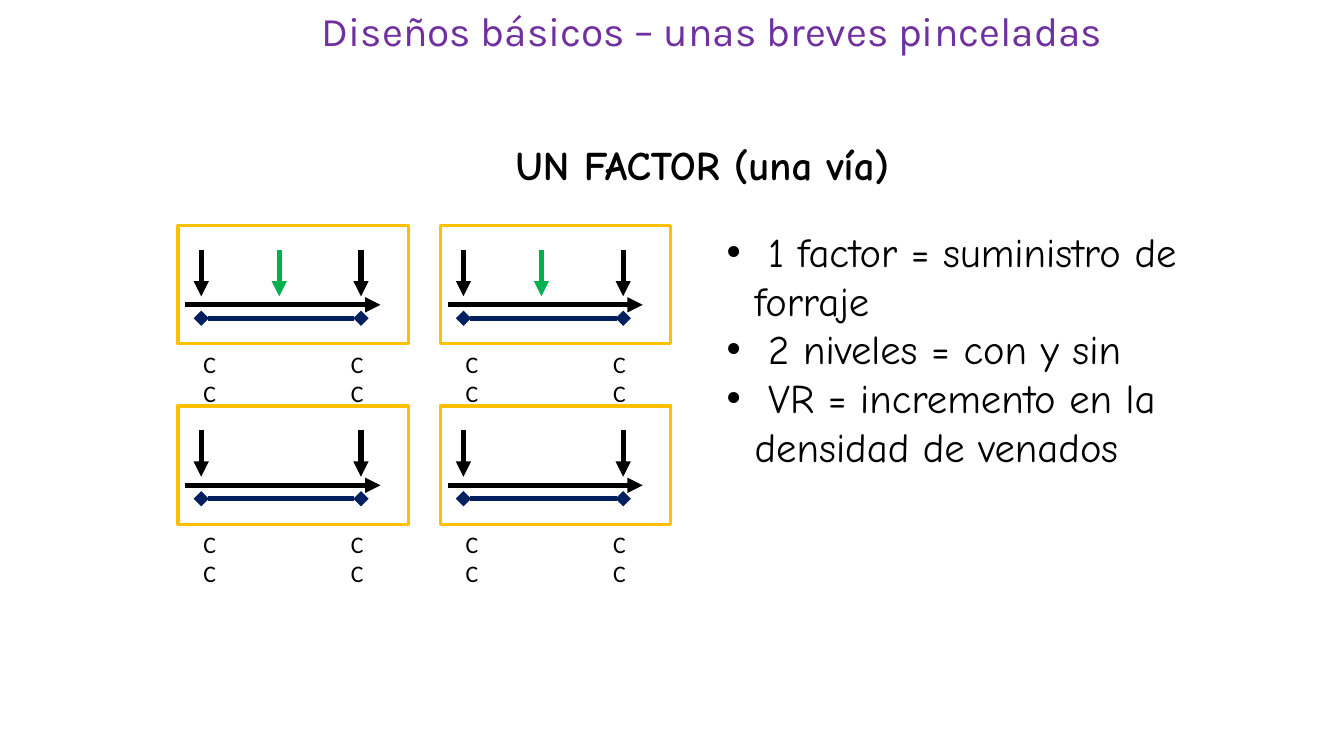
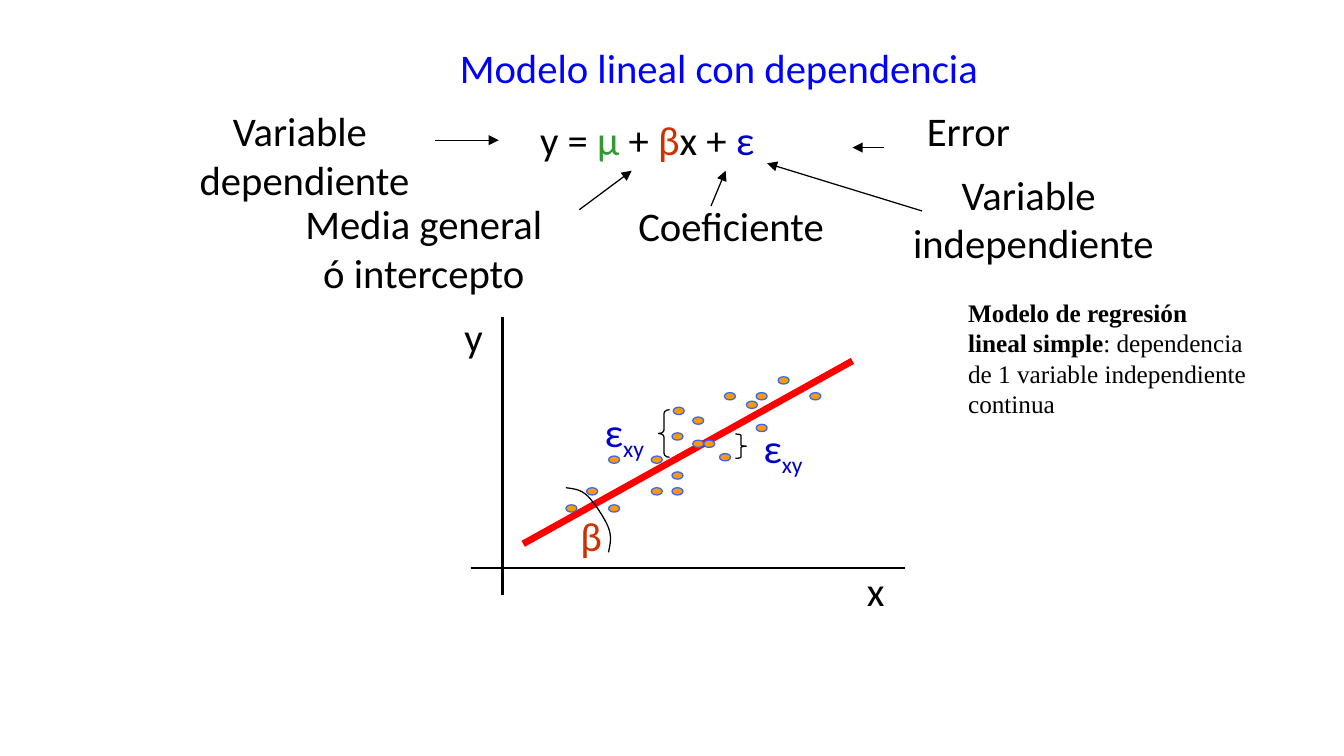
from lxml import etree
from pptx import Presentation
from pptx.dml.color import RGBColor
from pptx.enum.shapes import MSO_CONNECTOR, MSO_SHAPE
from pptx.enum.text import MSO_ANCHOR, MSO_AUTO_SIZE, PP_ALIGN
from pptx.oxml.ns import qn
from pptx.util import Inches, Pt

STRAIGHT = MSO_CONNECTOR.STRAIGHT
RECTANGLE, OVAL = MSO_SHAPE.RECTANGLE, MSO_SHAPE.OVAL
LEFT_BRACE, RIGHT_BRACE = MSO_SHAPE.LEFT_BRACE, MSO_SHAPE.RIGHT_BRACE
TOP = MSO_ANCHOR.TOP
FIT_SHAPE = MSO_AUTO_SIZE.SHAPE_TO_FIT_TEXT
LEFT, CENTER = PP_ALIGN.LEFT, PP_ALIGN.CENTER

COLORS = {
    "black": "000000", "purple": "7030A0", "title_blue": "0000FF",
    "green": "00B050", "navy": "002060", "gold": "FFC000",
    "red": "FF0000", "orange": "FF9900", "point_edge": "3366FF",
    "mean": "339933", "slope": "CC3300", "error": "0000CC",
}
TITLE_ONLY = 5
BODY_SIZE = 24
BULLET_INDENT = 0.23

PANEL_LEFT, PANEL_TOP = 1.46, 1.85
PANEL_STEP_X, PANEL_STEP_Y = 2.15, 1.48
PANEL_WIDTH, PANEL_HEIGHT = 1.89, 0.97
COUNT_START, COUNT_END, SUPPLY = 0.19, 1.5, 0.83

POINT_WIDTH, POINT_HEIGHT = 0.09, 0.06
POINTS = [
    (6.2, 3.48), (4.99, 4.14), (5.77, 3.61), (5.34, 3.74), (5.52, 3.34),
    (5.51, 4), (4.99, 3.74), (5.68, 3.61), (6.12, 3.29), (4.81, 4),
    (5.94, 3.22), (6.38, 3.09), (6.64, 3.22), (5.9, 3.72), (5.51, 3.55),
    (5.51, 3.87), (6.2, 3.22), (5.68, 3.42), (5.34, 4), (4.64, 4.14),
]
ANGLE_CURVES = [
    [(4.64, 4), (4.7, 4.01), (4.76, 4.01), (4.82, 4.07)],
    [(4.82, 4.07), (4.87, 4.12), (4.96, 4.25), (4.99, 4.33)],
    [(4.99, 4.33), (5.02, 4.41), (5, 4.47), (4.99, 4.53)],
]
TERM_LABELS = [
    ((1.46, 0.82, 2, 0.9), ["Variable", " dependiente"]),
    ((7.31, 1.34, 2.25, 0.9), ["Variable", " independiente"]),
    ((2.4, 1.58, 2.15, 0.9), ["Media general", "ó intercepto"]),
    ((5.13, 1.6, 1.73, 0.5), ["Coeficiente"]),
    ((7.5, 0.82, 0.88, 0.5), ["Error"]),
]
TERM_ARROWS = [
    ((3.57, 1.15), (4.09, 1.15)), ((4.75, 1.72), (5.18, 1.4)),
    ((5.83, 1.69), (5.95, 1.4)), ((7.56, 1.73), (6.29, 1.34)),
    ((7.25, 1.21), (6.99, 1.21)),
]


def rgb(name):
    return RGBColor.from_string(COLORS[name])


def inches(*lengths):
    return [Inches(length) for length in lengths]


def style_run(run, font, size, color, bold=False):
    run.font.name = font
    run.font.size = Pt(size)
    run.font.color.rgb = rgb(color)
    run.font.bold = bold


def add_title(prs, text, box, font, color):
    slide = prs.slides.add_slide(prs.slide_layouts[TITLE_ONLY])
    title = slide.shapes.title
    title.left, title.top, title.width, title.height = inches(*box)
    frame = title.text_frame
    frame.text = text
    frame.word_wrap = False
    frame.auto_size = FIT_SHAPE
    frame.vertical_anchor = TOP
    frame.paragraphs[0].alignment = LEFT
    style_run(frame.paragraphs[0].runs[0], font, BODY_SIZE, color)
    return slide


def add_text(slide, box, lines, font="Calibri", size=BODY_SIZE, color="black",
             bold=False, align=LEFT, wrap=False):
    frame = slide.shapes.add_textbox(*inches(*box)).text_frame
    frame.text = "\n".join(lines)
    frame.word_wrap = wrap
    frame.auto_size = FIT_SHAPE
    for paragraph in frame.paragraphs:
        paragraph.alignment = align
        for run in paragraph.runs:
            style_run(run, font, size, color, bold)
    return frame


def add_runs(paragraph, parts, font="Calibri", size=BODY_SIZE):
    for text, color, bold in parts:
        run = paragraph.add_run()
        run.text = text
        style_run(run, font, size, color, bold)


def add_bullets(paragraph):
    indent = Inches(BULLET_INDENT)
    properties = paragraph._p.get_or_add_pPr()
    properties.set("marL", str(indent))
    properties.set("indent", str(-indent))
    etree.SubElement(properties, qn("a:buFont")).set("typeface", "Arial")
    etree.SubElement(properties, qn("a:buChar")).set("char", "•")


def add_line(shapes, start, end, color="black", width=0.75, head=None, tail=None):
    line = shapes.add_connector(STRAIGHT, *inches(*start, *end))
    line.line.color.rgb = rgb(color)
    line.line.width = Pt(width)
    outline = line.line._get_or_add_ln()
    for tag, kind in (("a:headEnd", head), ("a:tailEnd", tail)):
        if kind:
            etree.SubElement(outline, qn(tag)).set("type", kind)
    etree.SubElement(line._element.spPr, qn("a:effectLst"))


def style_shape(shape, line, width, fill=None):
    shape.shadow.inherit = False
    if fill:
        shape.fill.solid()
        shape.fill.fore_color.rgb = rgb(fill)
    else:
        shape.fill.background()
    shape.line.color.rgb = rgb(line)
    shape.line.width = Pt(width)


def add_shape(shapes, kind, box, line="black", width=0.75, fill=None):
    shape = shapes.add_shape(kind, *inches(*box))
    style_shape(shape, line, width, fill)
    return shape


def curve_points(curve, steps=8):
    for step in range(1, steps + 1):
        t = step / steps
        weights = ((1 - t) ** 3, 3 * t * (1 - t) ** 2, 3 * t * t * (1 - t), t ** 3)
        yield tuple(
            Inches(sum(w * point[axis] for w, point in zip(weights, curve)))
            for axis in (0, 1)
        )


def add_angle(slide):
    builder = slide.shapes.build_freeform(*inches(*ANGLE_CURVES[0][0]))
    vertices = [point for curve in ANGLE_CURVES for point in curve_points(curve)]
    builder.add_line_segments(vertices, close=False)
    style_shape(builder.convert_to_shape(), "black", 0.75)


def add_panel(slide, left, top, supplied):
    parts = slide.shapes.add_group_shape().shapes
    add_line(parts, (left + 0.06, top + 0.65), (left + 1.66, top + 0.65),
             width=3, tail="triangle")
    events = [(COUNT_START, "black"), (COUNT_END, "black")]
    if supplied:
        events.append((SUPPLY, "green"))
    for offset, color in events:
        x = left + offset
        add_line(parts, (x, top + 0.2), (x, top + 0.58), color, 3, tail="triangle")
    add_line(parts, (left + COUNT_START, top + 0.76), (left + COUNT_END, top + 0.76),
             "navy", 3, head="diamond", tail="diamond")
    add_shape(parts, RECTANGLE, (left, top, PANEL_WIDTH, PANEL_HEIGHT), "gold", 2)
    for offset in (0.11, 1.32):
        add_text(slide, (left + offset, top + PANEL_HEIGHT, 0.3, 0.57),
                 ["C", "C"], size=14)


def build_one_factor(prs):
    slide = add_title(prs, "Diseños básicos – unas breves pinceladas",
                      (2.54, 0, 6.68, 0.5), "Karla", "purple")
    for row in range(2):
        for column in range(2):
            add_panel(slide, PANEL_LEFT + column * PANEL_STEP_X,
                      PANEL_TOP + row * PANEL_STEP_Y, supplied=row == 0)
    design = add_text(slide, (5.86, 1.81, 4.91, 1.7), [
        " 1 factor = suministro de forraje",
        " 2 niveles = con y sin",
        " VR = incremento en la densidad de venados",
    ], font="Comic Neue", wrap=True)
    for paragraph in design.paragraphs:
        add_bullets(paragraph)
    add_text(slide, (4.13, 1.1, 3.31, 0.5), ["UN FACTOR (una vía)"],
             font="Comic Neue", bold=True)


def add_residual_label(slide, left, top):
    label = add_text(slide, (left, top, 0.52, 0.56), ["ε"], color="error")
    paragraph = label.paragraphs[0]
    add_runs(paragraph, [("xy", "error", False)])
    paragraph.runs[-1]._r.get_or_add_rPr().set("baseline", "-25000")


def add_scatter(slide):
    add_line(slide.shapes, (4.12, 2.6), (4.12, 4.88), width=1.5)
    add_line(slide.shapes, (3.86, 4.66), (7.42, 4.66), width=1.5)
    add_line(slide.shapes, (4.29, 4.46), (6.99, 2.96), "red", 4)
    for left, top in POINTS:
        add_shape(slide.shapes, OVAL, (left, top, POINT_WIDTH, POINT_HEIGHT),
                  "point_edge", fill="orange")
    add_text(slide, (3.71, 2.51, 0.35, 0.5), ["y"])
    add_text(slide, (7.01, 4.59, 0.34, 0.5), ["x"])
    add_angle(slide)
    add_text(slide, (4.66, 4.14, 0.37, 0.5), ["β"], color="slope")
    for kind, box, curl in ((LEFT_BRACE, (5.4, 3.36, 0.09, 0.39), 0.33),
                            (RIGHT_BRACE, (6.03, 3.56, 0.09, 0.2), 0.12)):
        add_shape(slide.shapes, kind, box).adjustments[0] = curl
    add_residual_label(slide, 6.16, 3.42)
    add_residual_label(slide, 4.86, 3.29)


def build_linear_model(prs):
    slide = add_title(prs, "Modelo lineal con dependencia",
                      (3.67, 0.3, 4.45, 0.5), "Calibri", "title_blue")
    add_scatter(slide)
    equation = add_text(slide, (4.33, 0.89, 2.74, 0.5), ["y = "], wrap=True)
    add_runs(equation.paragraphs[0], [
        ("µ", "mean", False), (" + ", "black", False), ("β", "slope", False),
        ("x + ", "black", False), ("ε", "error", False),
    ])
    for box, lines in TERM_LABELS:
        add_text(slide, box, lines, align=CENTER)
    for start, end in TERM_ARROWS:
        add_line(slide.shapes, start, end, tail="triangle")
    definition = add_text(slide, (7.84, 2.39, 2.5, 1.1), [""], wrap=True)
    add_runs(definition.paragraphs[0], [
        ("Modelo de regresión lineal simple", "black", True),
        (": dependencia de 1 variable independiente continua", "black", False),
    ], font="Times New Roman", size=14.9)


def main():
    prs = Presentation()
    prs.slide_width, prs.slide_height = inches(11.02, 6.2)
    build_one_factor(prs)
    build_linear_model(prs)
    prs.save("out.pptx")


if __name__ == "__main__":
    main()
